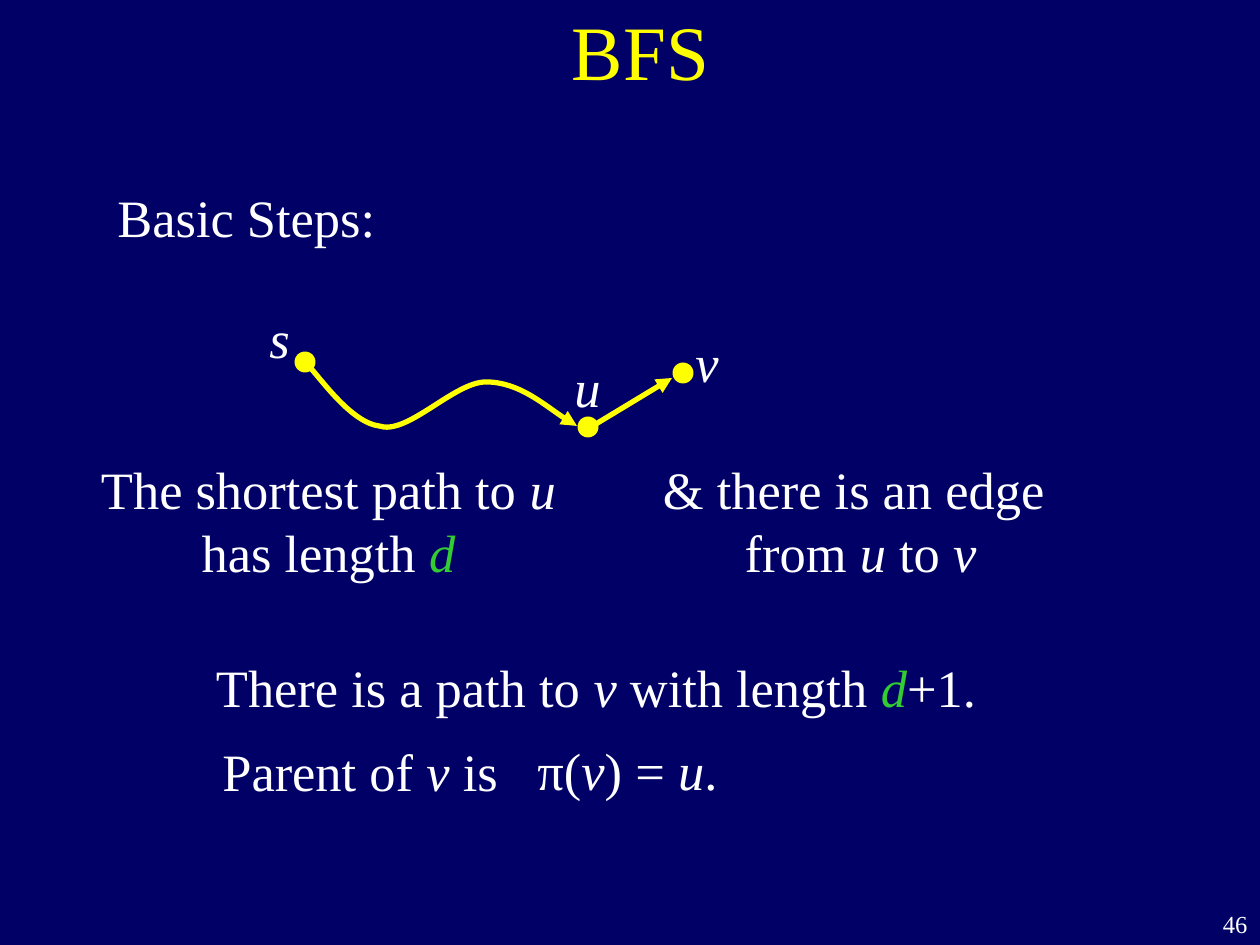
from lxml import etree
from pptx import Presentation, util as u
from pptx.dml.color import RGBColor
from pptx.enum import shapes, text
from pptx.oxml.ns import qn

PX = 914400 / 126
FONT = "Times New Roman"
COLORS = {"background": "000066", "text": "FFFFFF", "accent": "FFFF00", "length": "33CC33"}
LEFT, CENTER, RIGHT = text.PP_ALIGN.LEFT, text.PP_ALIGN.CENTER, text.PP_ALIGN.RIGHT

TITLE = ("BFS", (105, -32, 1071, 158))
PAGE_NUMBER = ("46", (1197, 903, 63, 42))

# Each box: position, alignment, lines of text; *x* is a variable, #x# a length
TEXTS = [
    ((105, 179, 284, 76), LEFT, ["Basic Steps:"]),
    ((257, 300, 45, 76), LEFT, ["*s*"]),
    ((562, 349, 52, 76), LEFT, ["*u*"]),
    ((683, 324, 49, 76), LEFT, ["*v*"]),
    ((88, 451, 481, 139), CENTER, ["The shortest path to *u*", "has length #d#"]),
    ((650, 451, 421, 139), CENTER, ["& there is an edge ", "from *u* to *v*"]),
    ((203, 649, 786, 76), CENTER, ["There is a path to *v* with length #d#+1."]),
    ((210, 733, 301, 76), LEFT, ["Parent of *v* is"]),
    ((525, 732, 208, 76), LEFT, ["π(*v*) = *u*."]),
]

NODE_SIZE = 21
NODE_CENTERS = {"s": (305, 362), "u": (588, 427), "v": (683, 373)}
PATH_START = (305, 362)
PATH_CURVES = [
    (317, 373), (349, 422), (379, 426),
    (407, 436), (454, 382), (486, 382),
    (519, 382), (558, 416), (577, 426),
]
EDGE = ((591, 427), (672, 378))


def px(value):
    return u.Emu(round(value * PX))


def color(name):
    return RGBColor.from_string(COLORS[name])


def set_font(font, size, color_name):
    font.name, font.size = FONT, u.Pt(size)
    font.color.rgb = color(color_name)


def add_marked_runs(paragraph, line):
    """Split a line at * and # marks into plain, italic and coloured runs."""
    mark = None
    for piece in line.replace("*", "\0*\0").replace("#", "\0#\0").split("\0"):
        if piece in ("*", "#"):
            mark = None if mark else piece
        elif piece:
            run = paragraph.add_run()
            run.text = piece
            if mark:
                run.font.italic = True
            if mark == "#":
                run.font.color.rgb = color("length")


def add_text(slide, box, alignment, lines, size=30, spacing=u.Pt(36)):
    frame = slide.shapes.add_textbox(*map(px, box)).text_frame
    frame.word_wrap = False
    frame.auto_size = text.MSO_AUTO_SIZE.SHAPE_TO_FIT_TEXT
    paragraph = frame.paragraphs[0]
    paragraph.alignment, paragraph.line_spacing = alignment, spacing
    set_font(paragraph.font, size, "text")
    for index, line in enumerate(lines):
        if index:
            paragraph.add_line_break()
        add_marked_runs(paragraph, line)


def add_title(slide):
    words, box = TITLE
    title = slide.shapes.title
    title.left, title.top, title.width, title.height = map(px, box)
    frame = title.text_frame
    frame.text = words
    frame.vertical_anchor = text.MSO_ANCHOR.MIDDLE
    paragraph = frame.paragraphs[0]
    paragraph.alignment, paragraph.line_spacing = CENTER, u.Pt(56)
    set_font(paragraph.font, 44, "accent")


def add_node(slide, center):
    left, top = (px(value - NODE_SIZE / 2) for value in center)
    node = slide.shapes.add_shape(
        shapes.MSO_SHAPE.OVAL, left, top, px(NODE_SIZE), px(NODE_SIZE))
    node.shadow.inherit = False
    node.fill.solid()
    node.fill.fore_color.rgb = color("accent")
    node.line.fill.background()


def style_arrow(shape):
    shape.line.color.rgb = color("accent")
    shape.line.width = u.Pt(3)
    etree.SubElement(shape.line._get_or_add_ln(), qn("a:tailEnd"), type="triangle")


def add_curved_path(slide):
    """Draw the control points as a freeform, then join each three into a Bézier curve."""
    builder = slide.shapes.build_freeform(*PATH_START, scale=PX)
    builder.add_line_segments(PATH_CURVES, close=False)
    curve = builder.convert_to_shape()
    curve.shadow.inherit = False
    curve.fill.background()
    style_arrow(curve)
    segments = list(curve._element.iter(qn("a:lnTo")))
    for start in range(0, len(segments), 3):
        bezier = etree.Element(qn("a:cubicBezTo"))
        segments[start].addprevious(bezier)
        for segment in segments[start:start + 3]:
            bezier.append(segment[0])
            segment.getparent().remove(segment)


def add_edge(slide):
    (x1, y1), (x2, y2) = EDGE
    edge = slide.shapes.add_connector(
        shapes.MSO_CONNECTOR.STRAIGHT, px(x1), px(y1), px(x2), px(y2))
    style_arrow(edge)
    etree.SubElement(edge._element.spPr, qn("a:effectLst"))


def main():
    presentation = Presentation()
    presentation.slide_width, presentation.slide_height = px(1260), px(945)
    slide = presentation.slides.add_slide(presentation.slide_layouts[5])
    slide.background.fill.solid()
    slide.background.fill.fore_color.rgb = color("background")
    add_title(slide)
    for center in NODE_CENTERS.values():
        add_node(slide, center)
    add_curved_path(slide)
    add_edge(slide)
    for box, alignment, lines in TEXTS:
        add_text(slide, box, alignment, lines)
    number, box = PAGE_NUMBER
    add_text(slide, box, RIGHT, [number], size=14, spacing=1.0)
    presentation.save("out.pptx")


if __name__ == "__main__":
    main()
